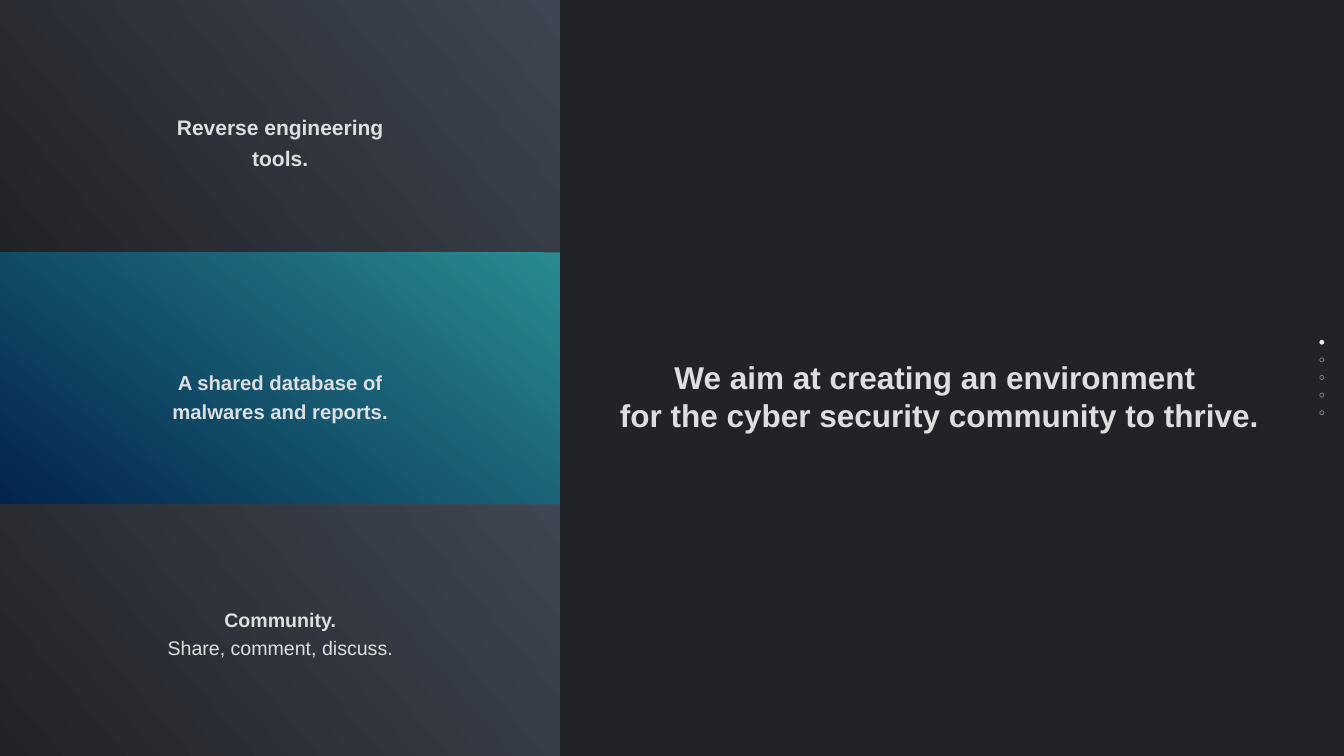
from pptx import Presentation
from pptx.dml.color import RGBColor
from pptx.enum.shapes import MSO_SHAPE
from pptx.enum.text import MSO_ANCHOR, MSO_AUTO_SIZE, PP_ALIGN
from pptx.oxml.ns import qn
from pptx.util import Inches, Pt

COLORS = {
    "background": "222328",
    "text": "DCDEE0",
    "dot": "E6EAF3",
    "charcoal": "232327",
    "slate": "414A57",
    "teal": "2B969D",
    "navy": "002452",
}
INSET = 0.06


def rgb(name):
    return RGBColor.from_string(COLORS[name])


def set_opacity(element, percent):
    """Make every RGB colour inside the element partly transparent."""
    for color in element.iter(qn("a:srgbClr")):
        alpha = color.makeelement(qn("a:alpha"), {"val": str(percent * 1000)})
        color.append(alpha)


class SlideBuilder:
    font = "Arial"

    def __init__(self, slide):
        self.slide = slide
        fill = slide.background.fill
        fill.solid()
        fill.fore_color.rgb = rgb("background")

    def shape(self, kind, box):
        shape = self.slide.shapes.add_shape(kind, *map(Inches, box))
        shape.shadow.inherit = False
        return shape

    def panel(self, box, colors, angle):
        """Add a gradient rectangle; the angle runs counter-clockwise."""
        panel = self.shape(MSO_SHAPE.RECTANGLE, box)
        panel.line.fill.background()
        panel.fill.gradient()
        panel.fill.gradient_angle = angle
        for stop, color in zip(panel.fill.gradient_stops, colors):
            stop.color.rgb = rgb(color)
        set_opacity(panel.element, 90)

    def dot(self, box, active):
        dot = self.shape(MSO_SHAPE.OVAL, box)
        dot.line.color.rgb = rgb("dot")
        dot.line.width = Pt(1)
        if active:
            dot.fill.solid()
            dot.fill.fore_color.rgb = rgb("dot")
        else:
            dot.fill.background()
            set_opacity(dot.element, 51)

    def set_text(self, frame, lines, size, spacing, frame_format):
        """Fill a text frame with (text, bold) lines."""
        margins = {f"margin_{side}": Inches(INSET)
                   for side in ("left", "top", "right", "bottom")}
        for name, value in {**margins, **frame_format}.items():
            setattr(frame, name, value)
        for index, (text, bold) in enumerate(lines):
            paragraph = frame.add_paragraph() if index else frame.paragraphs[0]
            paragraph.alignment = PP_ALIGN.CENTER
            paragraph.line_spacing = spacing
            run = paragraph.add_run()
            run.text = text
            font_format = {"name": self.font, "size": Pt(size), "bold": bold}
            for name, value in font_format.items():
                setattr(run.font, name, value)
            run.font.color.rgb = rgb("text")

    def caption(self, box, lines, size):
        caption = self.slide.shapes.add_textbox(*map(Inches, box))
        self.set_text(caption.text_frame, lines, size, 1.2, {"word_wrap": True})

    def headline(self, box, lines, size):
        title = self.slide.shapes.title
        for name, value in zip(("left", "top", "width", "height"), box):
            setattr(title, name, Inches(value))
        self.set_text(title.text_frame, lines, size, 1.0, {
            "word_wrap": False,
            "auto_size": MSO_AUTO_SIZE.SHAPE_TO_FIT_TEXT,
            "vertical_anchor": MSO_ANCHOR.MIDDLE,
        })


def main():
    presentation = Presentation()
    presentation.slide_width = Inches(26.67)
    presentation.slide_height = Inches(15)
    title_only = presentation.slide_layouts[5]
    builder = SlideBuilder(presentation.slides.add_slide(title_only))

    dot_top, dot_gap = 6.75, 0.35
    for index in range(5):
        box = (26.19, dot_top + index * dot_gap, 0.08, 0.08)
        builder.dot(box, active=index == 0)

    muted = (("charcoal", "slate"), 40)
    accent = (("teal", "navy"), 233)
    offers = [
        (muted, 2.12, 1.24, 30, [("Reverse engineering tools.", True)]),
        (accent, 7.18, 1.34, 29,
         [("A shared database of malwares and reports.", True)]),
        (muted, 11.91, 1.24, 28,
         [("Community.", True), ("Share, comment, discuss.", False)]),
    ]
    panel_step = 5.01
    for index, (look, top, height, size, lines) in enumerate(offers):
        builder.panel((0, index * panel_step, 11.11, 5.03), *look)
        builder.caption((2.98, top, 5.16, height), lines, size)

    builder.headline((12.24, 7.05, 12.8, 1.61), [
        ("We aim at creating an environment ", True),
        ("for the cyber security community to thrive.", True),
    ], 45)
    presentation.save("out.pptx")


if __name__ == "__main__":
    main()
